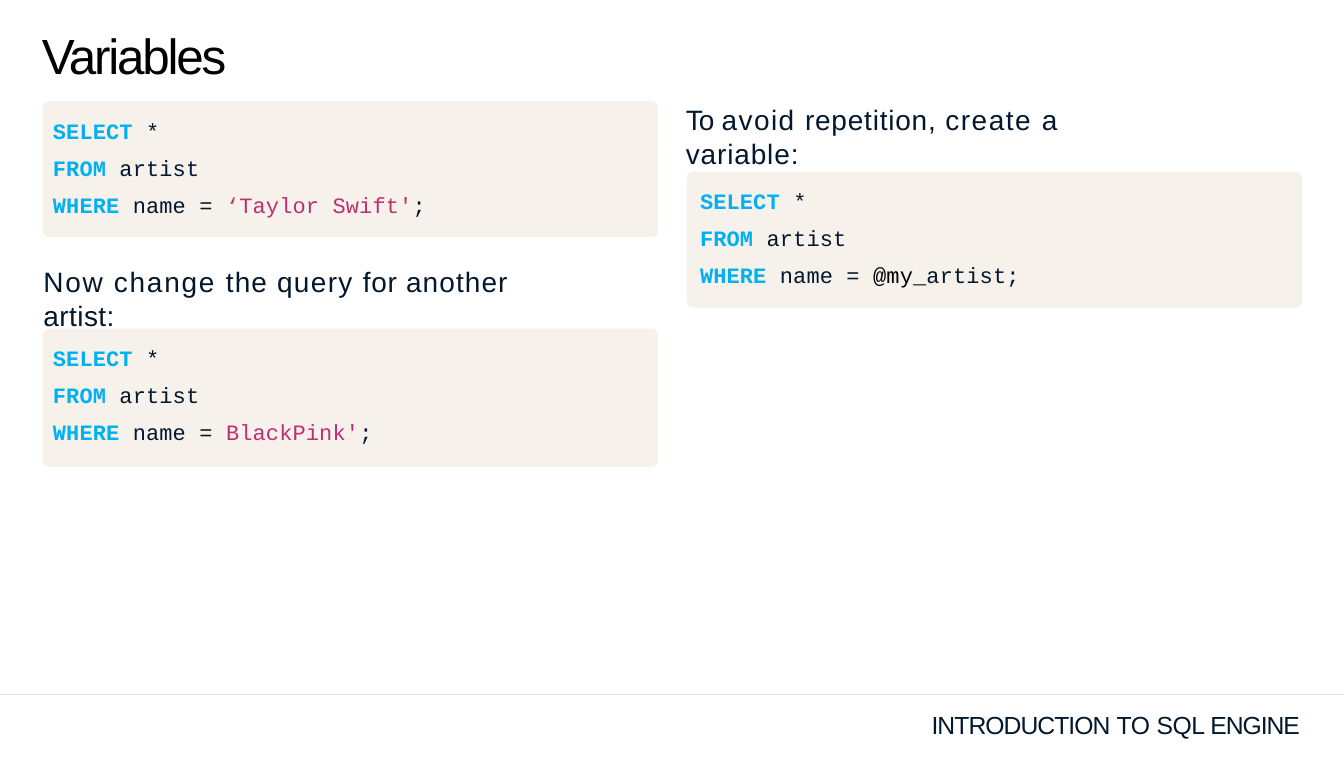
from dataclasses import dataclass

from lxml.etree import SubElement
from pptx import Presentation
from pptx.dml.color import RGBColor as Rgb
from pptx.enum.shapes import MSO_CONNECTOR as Link, MSO_SHAPE as Form
from pptx.enum.text import MSO_AUTO_SIZE as Fit
from pptx.oxml.ns import qn
from pptx.util import Pt


@dataclass(frozen=True)
class Theme:
    ink: str = "04182D"
    black: str = "000000"
    blue: str = "00B0F0"
    pink: str = "BE2F72"
    card: str = "F6F2EB"
    rule: str = "E4E1D9"
    sans: str = "Arial"
    mono: str = "Courier New"
    title: float = 45
    lead: float = 25.5
    foot: float = 22.5
    code: float = 20


@dataclass(frozen=True)
class Box:
    left: float
    top: float
    width: float
    height: float

    def lengths(self) -> tuple[Pt, Pt, Pt, Pt]:
        return Pt(self.left), Pt(self.top), Pt(self.width), Pt(self.height)


@dataclass(frozen=True)
class Piece:
    text: str
    space: float
    color: str
    bold: bool = False


@dataclass(frozen=True)
class Block:
    box: Box
    lines: list[list[Piece]]
    font: str
    size: float
    inset: float = 0
    indent: float = 0.7
    gap: float = 0


T = Theme()
WIDE, HIGH = 1224.72, 689.76
LEFT, RIGHT, CARD = 38.9, 625.7, 560.9
RADIUS = 6


def words(*parts: tuple[str, float], color: str = T.ink) -> list[list[Piece]]:
    """One line of words, each with its own letter spacing."""
    return [[Piece(text, space, color) for text, space in parts]]


def query(box: Box, inset: float, *value: tuple[str, str]) -> Block:
    """A query whose last line ends in the given value."""
    rows = [("SELECT ", [("*", T.ink)]),
            ("FROM ", [("artist", T.ink)]),
            ("WHERE ", [("name = ", T.ink), *value])]
    lines = [[Piece(key, 0.1, T.blue, True)]
             + [Piece(text, 0.1, color) for text, color in rest]
             for key, rest in rows]
    return Block(box, lines, T.mono, T.code, inset, 12.2, 9.8)


def add_card(slide, box: Box) -> None:
    card = slide.shapes.add_shape(Form.ROUNDED_RECTANGLE, *box.lengths())
    card.adjustments[0] = RADIUS / box.height
    card.shadow.inherit = False
    card.fill.solid()
    card.fill.fore_color.rgb = Rgb.from_string(T.card)
    card.line.fill.background()


def add_rule(slide, top: float) -> None:
    rule = slide.shapes.add_connector(Link.STRAIGHT, 0, Pt(top), Pt(WIDE), Pt(top))
    rule.line.color.rgb = Rgb.from_string(T.rule)
    rule.line.width = Pt(1.5)
    SubElement(rule._element.spPr, qn("a:effectLst"))


def add_block(slide, block: Block) -> None:
    frame = slide.shapes.add_textbox(*block.box.lengths()).text_frame
    frame.word_wrap = True
    frame.auto_size = Fit.SHAPE_TO_FIT_TEXT
    frame.margin_left, frame.margin_top = Pt(block.indent), Pt(block.inset)
    frame.margin_right = frame.margin_bottom = 0
    for i, line in enumerate(block.lines):
        para = frame.add_paragraph() if i else frame.paragraphs[0]
        if i:
            para.space_before = Pt(block.gap)
        for piece in line:
            run = para.add_run()
            run.text = piece.text
            font = run.font
            font.name, font.size, font.bold = block.font, Pt(block.size), piece.bold
            font.color.rgb = Rgb.from_string(piece.color)
            run._r.get_or_add_rPr().set("spc", str(round(piece.space * 100)))


CARDS = [Box(LEFT, 92.2, CARD, 124),
         Box(LEFT, 299.5, CARD, 126),
         Box(RIGHT, 156.4, CARD, 124)]

BLOCKS = [
    # Title
    Block(Box(37.4, 21.6, 193.7, 56.2), words(("Variables", -2), color=T.black),
          T.sans, T.title, 1.4),
    # Left column
    query(Box(36, 96.5, 497.5, 103.7), 10.8, ("‘Taylor Swift'", T.pink), (";", T.ink)),
    Block(Box(LEFT, 230.4, 497.5, 41.8),
          words(("Now ", 1.5), ("change ", 1.6), ("the ", 1), ("query ", 1.2),
                ("for ", 0.6), ("another ", 1), ("artist:", 0.4)),
          T.sans, T.lead, 10.8),
    query(Box(36, 303.1, 497.5, 103.7), 10.8, ("BlackPink'", T.pink), (";", T.ink)),
    # Right column
    Block(Box(624.2, 92.2, 452.9, 32.4),
          words(("To ", -0.7), ("avoid ", 1.3), ("repetition, ", 0.7),
                ("create ", 1.4), ("a ", 2.4), ("variable:", 0.8)),
          T.sans, T.lead, 1.4),
    query(Box(RIGHT, 169.2, 452.9, 94.3), 1.4, ("@my_", T.black), ("artist;", T.ink)),
    # Footer
    Block(Box(848.2, 646.6, 352.1, 27.4),
          words(("INTRODUCTION", -0.9), (" TO ", -0.3), ("SQL ", -0.5), ("ENGINE", -1)),
          T.sans, T.foot),
]


def main() -> None:
    deck = Presentation()
    deck.slide_width, deck.slide_height = Pt(WIDE), Pt(HIGH)
    slide = deck.slides.add_slide(deck.slide_layouts[6])
    add_rule(slide, 632.9)
    for box in CARDS:
        add_card(slide, box)
    for block in BLOCKS:
        add_block(slide, block)
    deck.save("out.pptx")


if __name__ == "__main__":
    main()
